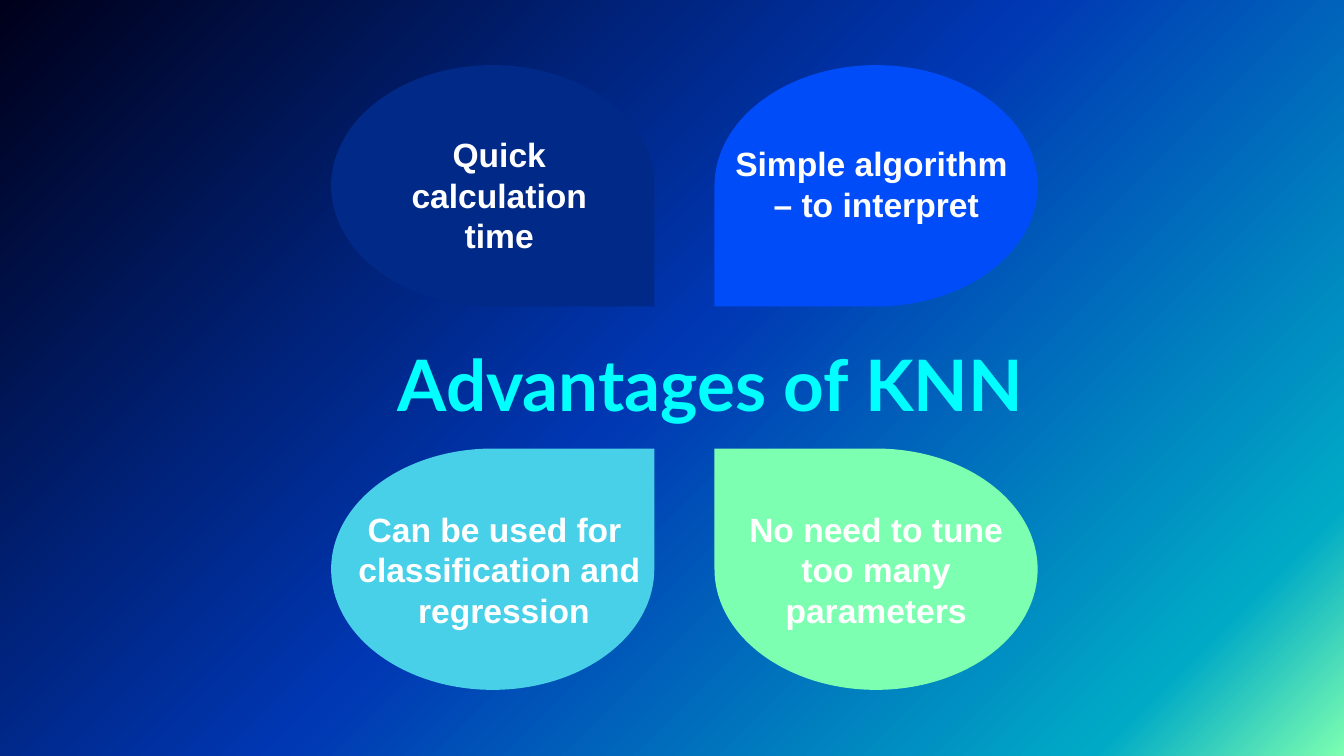
from copy import deepcopy
from dataclasses import dataclass

from pptx import Presentation
from pptx.dml.color import RGBColor
from pptx.enum.shapes import MSO_SHAPE
from pptx.enum.text import MSO_ANCHOR, PP_ALIGN
from pptx.oxml.ns import qn
from pptx.slide import Slide
from pptx.util import Pt

COLORS = {
    "navy": "002988",
    "blue": "004CF8",
    "sky": "49D0E9",
    "mint": "7DFFB1",
    "teal": "00AAC6",
    "royal": "0037B3",
    "night": "00001A",
    "cyan": "00FFFF",
    "white": "FFFFFF",
}
BACKDROP = [(0, "mint"), (0.12, "teal"), (0.51, "royal"), (1, "night")]
PETAL_LEFT, PETAL_TOP = 177.4, 34.9
PETAL_WIDTH, PETAL_HEIGHT = 173.1, 129.3
PETAL_PITCH = 205.4


@dataclass
class Petal:
    column: int
    row: int
    color: str


@dataclass
class Caption:
    text: str
    left: float
    top: float
    width: float
    height: float
    size: float = 18
    font: str = "Arial"
    color: str = "white"
    align: PP_ALIGN = PP_ALIGN.CENTER


PETALS = [
    Petal(0, 0, "navy"),
    Petal(0, 1, "sky"),
    Petal(1, 1, "mint"),
    Petal(1, 0, "blue"),
]
CAPTIONS = [
    Caption("Advantages of KNN", 205.9, 175, 384.5, 60.5, 38, "Lato", "cyan", PP_ALIGN.LEFT),
    Caption("Quick calculation time", 196.6, 64.8, 141.8, 79.9),
    Caption("Simple algorithm \n– to interpret", 382.3, 69.5, 174.2, 58.3),
    Caption("No need to tune too many parameters", 390.2, 265.4, 158.4, 79.9),
    Caption("Can be used for \nclassification and\n regression", 176.4, 265.4, 182.2, 79.9),
]


def rgb(name: str) -> RGBColor:
    return RGBColor.from_string(COLORS[name])


def paint_backdrop(slide: Slide) -> None:
    fill = slide.background.fill
    fill.gradient()
    fill.gradient_angle = 135
    stop_list = slide.element.find(".//" + qn("a:gsLst"))
    for _ in range(len(BACKDROP) - len(stop_list)):
        stop_list.append(deepcopy(stop_list[0]))
    for stop, (position, color) in zip(fill.gradient_stops, BACKDROP):
        stop.position = position
        stop.color.rgb = rgb(color)


def draw_petal(slide: Slide, petal: Petal) -> None:
    drop = slide.shapes.add_shape(
        MSO_SHAPE.TEAR,
        Pt(PETAL_LEFT + petal.column * PETAL_PITCH),
        Pt(PETAL_TOP + petal.row * PETAL_PITCH),
        Pt(PETAL_WIDTH),
        Pt(PETAL_HEIGHT),
    )
    drop.shadow.inherit = False
    drop.fill.solid()
    drop.fill.fore_color.rgb = rgb(petal.color)
    drop.line.fill.background()
    frame = drop.element.spPr.get_or_add_xfrm()
    if petal.column == 1:
        frame.set("flipH", "1")
    if petal.row == 0:
        frame.set("flipV", "1")


def draw_caption(slide: Slide, caption: Caption) -> None:
    box = slide.shapes.add_textbox(
        Pt(caption.left), Pt(caption.top), Pt(caption.width), Pt(caption.height)
    )
    frame = box.text_frame
    frame.word_wrap = True
    frame.vertical_anchor = MSO_ANCHOR.TOP
    frame.margin_left = frame.margin_right = Pt(7.2)
    frame.margin_top = frame.margin_bottom = Pt(7.2)
    frame.text = caption.text
    for paragraph in frame.paragraphs:
        paragraph.alignment = caption.align
        for run in paragraph.runs:
            run.font.name = caption.font
            run.font.size = Pt(caption.size)
            run.font.bold = True
            run.font.color.rgb = rgb(caption.color)


def main() -> None:
    """Build the slide on the advantages of KNN."""
    deck = Presentation()
    deck.slide_width, deck.slide_height = Pt(720), Pt(405)
    slide = deck.slides.add_slide(deck.slide_layouts[6])
    paint_backdrop(slide)
    for petal in PETALS:
        draw_petal(slide, petal)
    for caption in CAPTIONS:
        draw_caption(slide, caption)
    deck.save("out.pptx")


if __name__ == "__main__":
    main()
